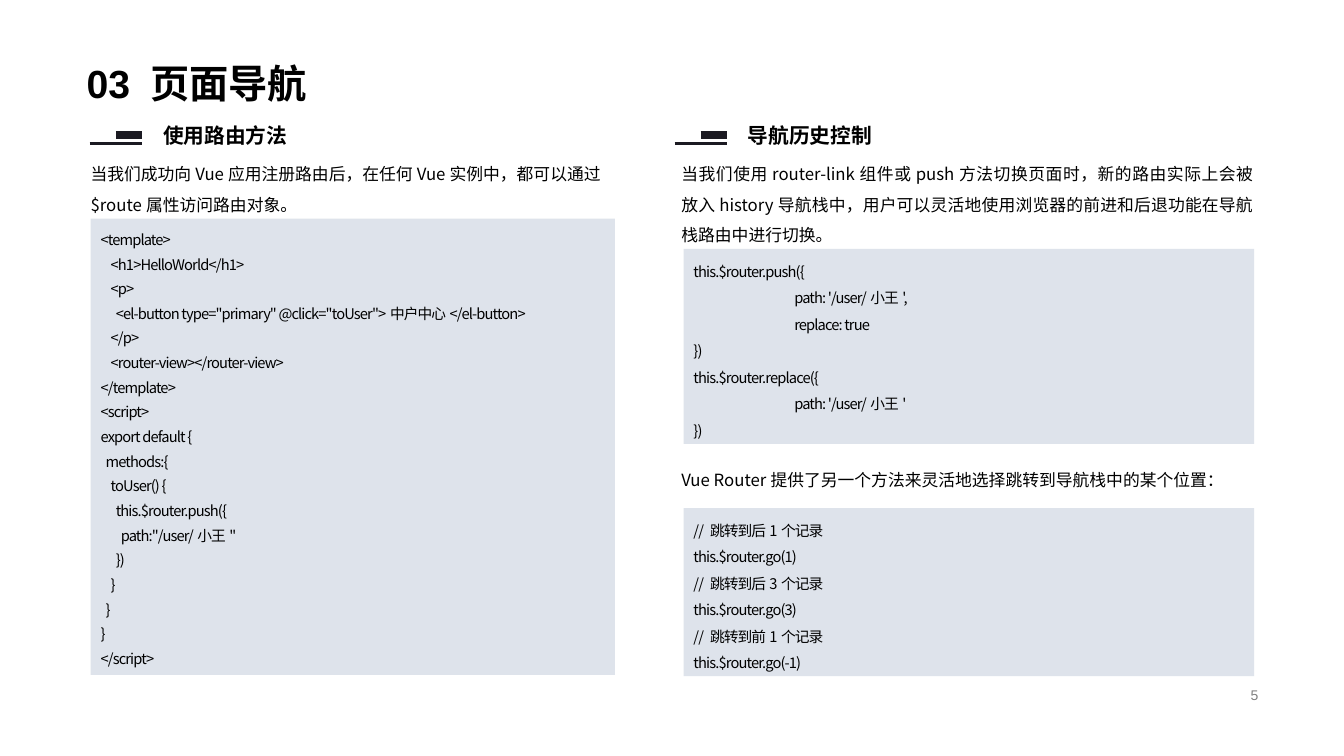
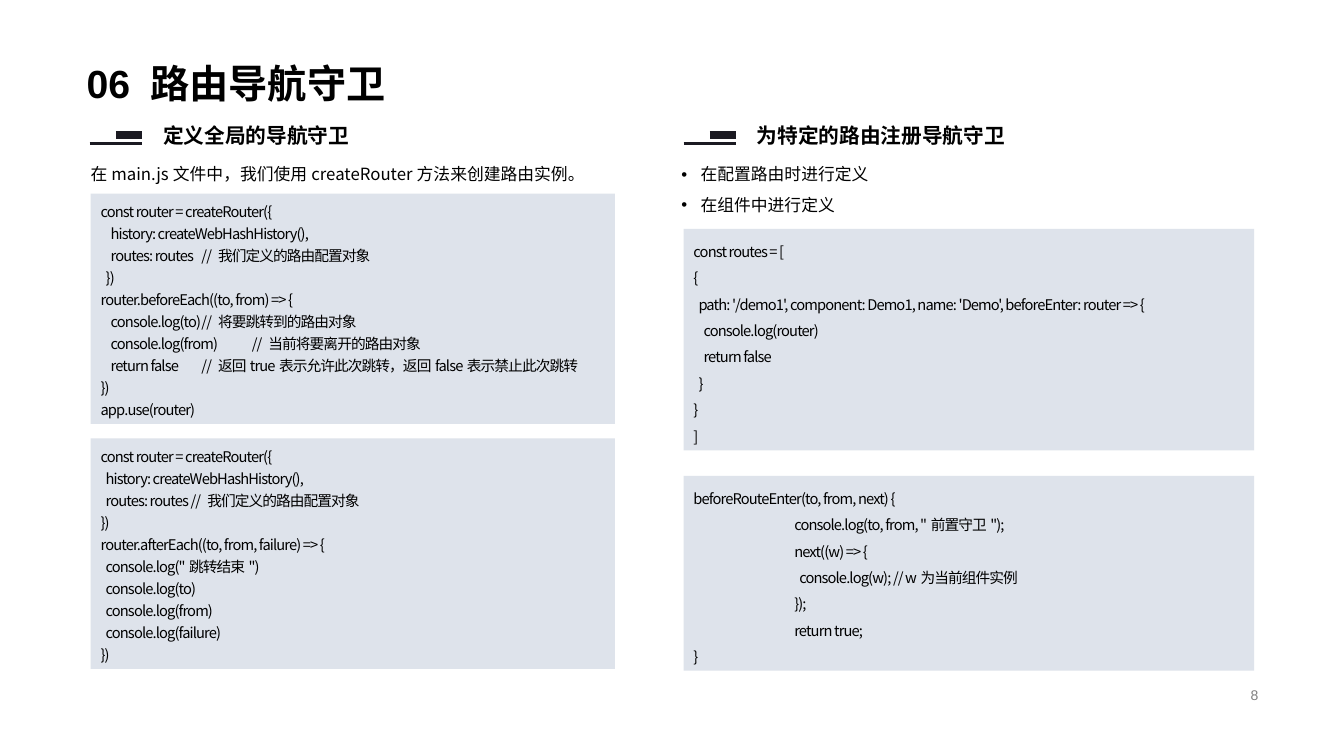
import pptx
import pptx.util
import pptx.dml.color
import pptx.enum.shapes
import pptx.enum.text
import pptx.oxml.ns
from lxml import etree

Inches = pptx.util.Inches
Pt = pptx.util.Pt
RGB = pptx.dml.color.RGBColor.from_string
ALIGN = pptx.enum.text.PP_ALIGN
ANCHOR = pptx.enum.text.MSO_ANCHOR
AUTO = pptx.enum.text.MSO_AUTO_SIZE
qn = pptx.oxml.ns.qn

CJK = "Noto Sans CJK SC"
THEME = {
    "panel": "DEE3EB",
    "mark": "1B1A22",
    "title": {"font": "Arial", "size": 28, "color": "000000", "bold": True},
    "heading": {"font": "Arial", "size": 14.8, "color": "000000", "bold": True},
    "prose": {"font": CJK, "size": 12, "color": "000000", "bold": False},
    "code": {"font": CJK, "size": 10.5, "color": "000000", "bold": False},
    "page": {"font": "Arial", "size": 10, "color": "808080", "bold": False},
}
CODE_TRACKING = "-60"
SPACE, TAB = 0.025, 1.0
LINE_FACTOR, PADDING = 1.21, 0.08
TITLE_BOX = (0.76, 0.08, 8.8, 1.03)
PAGE_BOX = (9.42, 6.78, 3.16, 0.23)
HEADING_TOP, PROSE_TOP = 1.17, 1.48
COLUMNS = {
    "left": {"prose": (0.8, 5.29), "code": (0.9, 5.2)},
    "right": {"prose": (6.66, 5.87), "code": (6.78, 5.66)},
}

SLIDES = [
    {
        "title": "03 页面导航",
        "page": "5",
        "headings": [(0.89, "使用路由方法"), (6.69, "导航历史控制")],
        "prose": [
            {"column": "left", "top": PROSE_TOP, "lines": 2, "text": [
                "当我们成功向Vue应用注册路由后，在任何Vue实例中，都可以通过$route属性访问路由对象。"]},
            {"column": "right", "top": PROSE_TOP, "lines": 3, "text": [
                "当我们使用router-link组件或push方法切换页面时，新的路由实际上会被放入history导航栈中，"
                "用户可以灵活地使用浏览器的前进和后退功能在导航栈路由中进行切换。"]},
            {"column": "right", "top": 4.51, "lines": 1, "text": [
                "Vue Router提供了另一个方法来灵活地选择跳转到导航栈中的某个位置："]},
        ],
        "code": [
            {"column": "left", "top": 2.17, "spacing": 1.4, "text": [
                "<template>",
                "    <h1>HelloWorld</h1>",
                "    <p>",
                "      <el-button type=\"primary\" @click=\"toUser\">中户中心</el-button>",
                "    </p>",
                "    <router-view></router-view>",
                "</template>",
                "<script>",
                "export default {",
                "  methods:{",
                "    toUser() {",
                "      this.$router.push({",
                "        path:\"/user/小王\"",
                "      })",
                "    }",
                "  }",
                "}",
                "</script>"]},
            {"column": "right", "top": 2.47, "spacing": 1.5, "text": [
                "this.$router.push({",
                "\tpath: '/user/小王',",
                "\treplace: true",
                "})",
                "this.$router.replace({",
                "\tpath: '/user/小王'",
                "})"]},
            {"column": "right", "top": 5.04, "spacing": 1.5, "text": [
                "// 跳转到后1个记录",
                "this.$router.go(1)",
                "// 跳转到后3个记录",
                "this.$router.go(3)",
                "// 跳转到前1个记录",
                "this.$router.go(-1)"]},
        ],
    },
    {
        "title": "06 路由导航守卫",
        "page": "8",
        "headings": [(0.89, "定义全局的导航守卫"), (6.78, "为特定的路由注册导航守卫")],
        "prose": [
            {"column": "left", "top": PROSE_TOP, "lines": 1, "text": [
                "在main.js文件中，我们使用createRouter方法来创建路由实例。"]},
            {"column": "right", "top": PROSE_TOP, "lines": 2, "bullet": True, "text": [
                "在配置路由时进行定义", "在组件中进行定义"]},
        ],
        "code": [
            {"column": "left", "top": 1.92, "spacing": 1.25,
             "stops": {2: 1.0, 5: 1.21, 6: 1.25, 7: 1.13}, "text": [
                "const router = createRouter({",
                "    history: createWebHashHistory(),",
                "    routes: routes\t// 我们定义的路由配置对象",
                "  })",
                "router.beforeEach((to, from) => {",
                "    console.log(to)\t// 将要跳转到的路由对象",
                "    console.log(from)\t// 当前将要离开的路由对象",
                "    return false\t// 返回true表示允许此次跳转，返回false表示禁止此次跳转",
                "})",
                "app.use(router)"]},
            {"column": "left", "top": 4.35, "spacing": 1.25, "text": [
                "const router = createRouter({",
                "  history: createWebHashHistory(),",
                "  routes: routes // 我们定义的路由配置对象",
                "})",
                "router.afterEach((to, from, failure) => {",
                "  console.log(\"跳转结束\")",
                "  console.log(to)",
                "  console.log(from)",
                "  console.log(failure)",
                "})"]},
            {"column": "right", "top": 2.27, "spacing": 1.5, "text": [
                "const routes = [",
                "{",
                "  path: '/demo1', component: Demo1, name: 'Demo', beforeEnter: router => {",
                "    console.log(router)",
                "    return false",
                "  }",
                "}",
                "]"]},
            {"column": "right", "top": 4.72, "spacing": 1.5, "text": [
                "beforeRouteEnter(to, from, next) {",
                "\tconsole.log(to, from, \"前置守卫\");",
                "\tnext((w) => {",
                "\t  console.log(w); // w为当前组件实例",
                "\t});",
                "\treturn true;",
                "}"]},
        ],
    },
]


def inches(values):
    return [Inches(v) for v in values]


def set_all(obj, **values):
    for name, value in values.items():
        setattr(obj, name, value)


def write(p, text, role, align=ALIGN.LEFT, spacing=1.0):
    style = THEME[role]
    set_all(p, alignment=align, line_spacing=spacing, space_before=Pt(0), space_after=Pt(0))
    r = p.add_run()
    r.text = text
    set_all(r.font, name=style["font"], size=Pt(style["size"]), bold=style["bold"])
    r.font.color.rgb = RGB(style["color"])
    rPr = r.font._element
    etree.SubElement(rPr, qn("a:ea")).set("typeface", CJK)
    return rPr


def paragraphs(tf, lines):
    for i, line in enumerate(lines):
        yield i, line, tf.paragraphs[0] if i == 0 else tf.add_paragraph()


def text_height(lines, spacing, role):
    return lines * spacing * THEME[role]["size"] * LINE_FACTOR / 72 + PADDING


def add_label(s, box, text, role, align=ALIGN.LEFT):
    tf = s.shapes.add_textbox(*inches(box)).text_frame
    set_all(tf, word_wrap=True, vertical_anchor=ANCHOR.MIDDLE)
    write(tf.paragraphs[0], text, role, align)


def add_title(s, text):
    sp = s.shapes.title
    set_all(sp, **dict(zip(("left", "top", "width", "height"), inches(TITLE_BOX))))
    tf = sp.text_frame
    set_all(tf, word_wrap=True, vertical_anchor=ANCHOR.BOTTOM)
    write(tf.paragraphs[0], text, "title", spacing=0.9)


def add_heading(s, x, text):
    add_label(s, (x + 0.63, HEADING_TOP, 3.46, 0.34), text, "heading")
    for start, y, width in ((x + 0.26, 1.34, 6), (x, 1.42, 2.25)):
        line = s.shapes.add_connector(
            pptx.enum.shapes.MSO_CONNECTOR.STRAIGHT, *inches((start, y, x + 0.52, y)))
        line.line.color.rgb = RGB(THEME["mark"])
        line.line.width = Pt(width)
        etree.SubElement(line._element.spPr, qn("a:effectLst"))


def add_prose(s, block):
    x, width = COLUMNS[block["column"]]["prose"]
    height = text_height(block["lines"], 1.5, "prose")
    tf = s.shapes.add_textbox(*inches((x, block["top"], width, height))).text_frame
    set_all(tf, word_wrap=True, auto_size=AUTO.SHAPE_TO_FIT_TEXT)
    for _, line, p in paragraphs(tf, block["text"]):
        write(p, line, "prose", ALIGN.JUSTIFY, 1.5)
        if block.get("bullet"):
            pPr = p._p.get_or_add_pPr()
            pPr.set("marL", str(Inches(0.19)))
            pPr.set("indent", str(-Inches(0.19)))
            etree.SubElement(pPr, qn("a:buFont")).set("typeface", "Arial")
            etree.SubElement(pPr, qn("a:buChar")).set("char", "•")


def add_code(s, block):
    x, width = COLUMNS[block["column"]]["code"]
    spacing = block["spacing"]
    height = text_height(len(block["text"]), spacing, "code")
    sp = s.shapes.add_shape(pptx.enum.shapes.MSO_SHAPE.RECTANGLE,
                            *inches((x, block["top"], width, height)))
    sp.shadow.inherit = False
    sp.fill.solid()
    sp.fill.fore_color.rgb = RGB(THEME["panel"])
    sp.line.fill.background()
    tf = sp.text_frame
    set_all(tf, word_wrap=True, vertical_anchor=ANCHOR.TOP, auto_size=AUTO.SHAPE_TO_FIT_TEXT)
    for i, line, p in paragraphs(tf, block["text"]):
        text = line.lstrip()
        lead = line[:len(line) - len(text)]
        rPr = write(p, text, "code", ALIGN.JUSTIFY, spacing)
        rPr.set("spc", CODE_TRACKING)
        pPr = p._p.get_or_add_pPr()
        pPr.set("marL", "0")
        pPr.set("indent", str(Inches(lead.count("\t") * TAB + lead.count(" ") * SPACE)))
        if i in block.get("stops", {}):
            stops = etree.SubElement(pPr, qn("a:tabLst"))
            stop = etree.SubElement(stops, qn("a:tab"))
            stop.set("pos", str(Inches(block["stops"][i])))
            stop.set("algn", "l")


def main():
    prs = pptx.Presentation()
    prs.slide_width, prs.slide_height = inches((13.33, 7.5))
    for content in SLIDES:
        s = prs.slides.add_slide(prs.slide_layouts[5])
        add_title(s, content["title"])
        add_label(s, PAGE_BOX, content["page"], "page", ALIGN.RIGHT)
        for x, text in content["headings"]:
            add_heading(s, x, text)
        for block in content["prose"]:
            add_prose(s, block)
        for block in content["code"]:
            add_code(s, block)
    prs.save("out.pptx")


if __name__ == "__main__":
    main()
